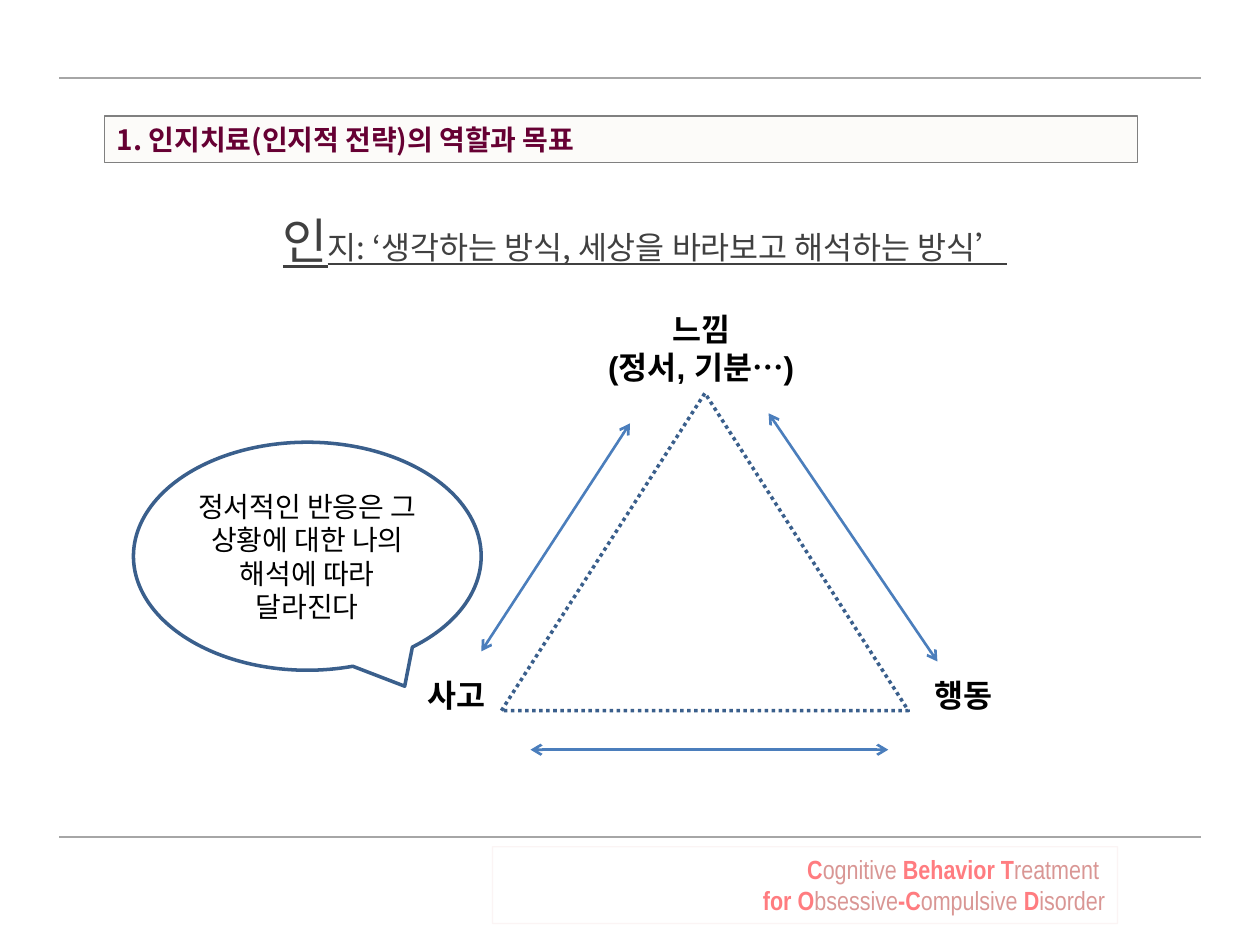
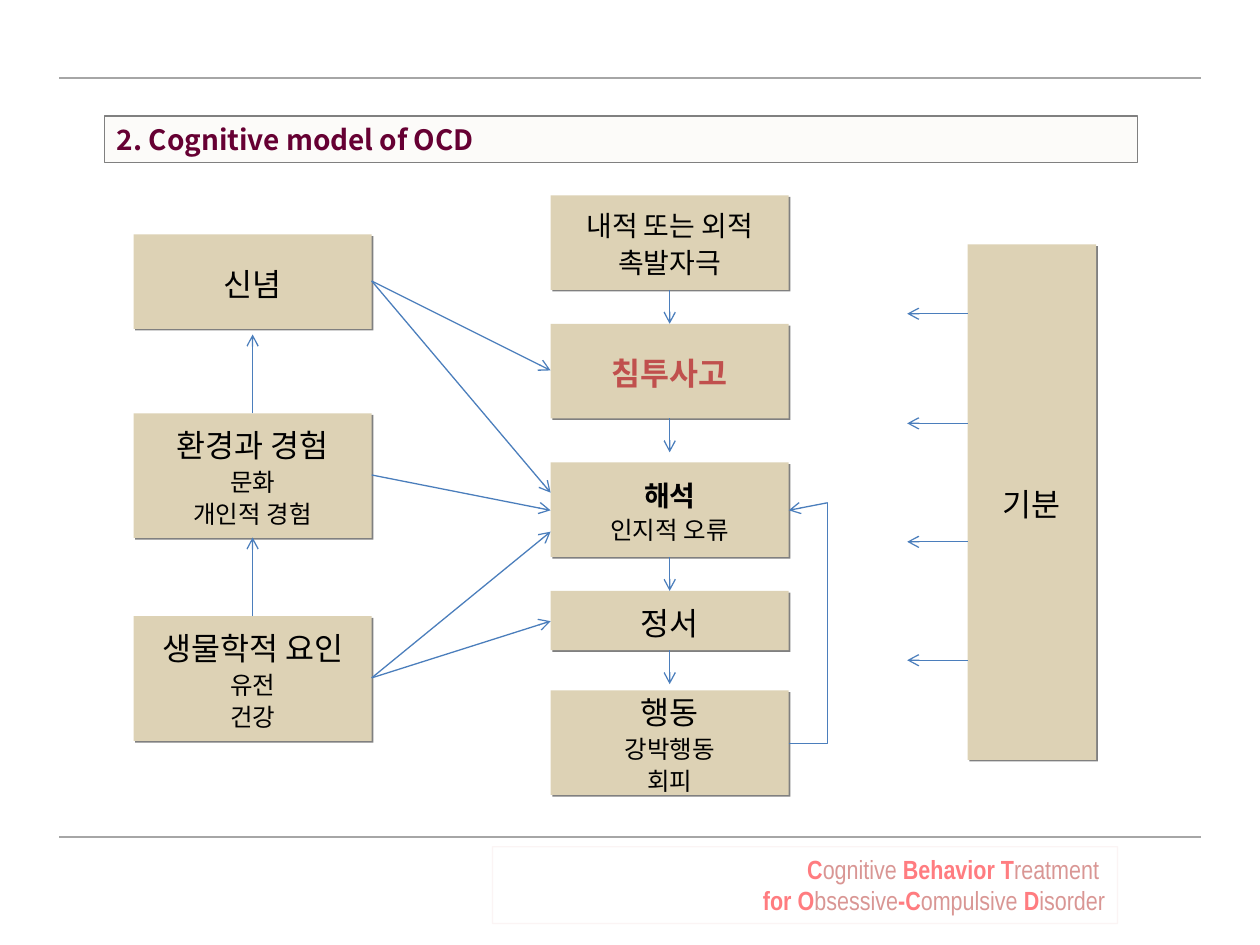
from itertools import pairwise

from lxml import etree
from pptx import Presentation
from pptx import util as u
from pptx.dml.color import RGBColor
from pptx.enum import dml, shapes, text
from pptx.oxml.ns import qn

# Grid: 100 columns by 75 rows of 0.1 inch cells
CELL = u.Inches(0.1)
COLUMNS, ROWS = 100, 75

COLORS = {
    "rule": "A6A6A6", "band": "FCFBF9", "band_edge": "808080", "title": "660033",
    "accent": "FF7C80", "footer": "D99694", "intro": "404040", "text": "000000",
    "outline": "3A5F8C", "arrow": "4B7EBC", "card": "DDD2B5", "alert": "C0504D",
    "shadow": "808080",
}
KOREAN, LATIN, NARROW = "Noto Sans CJK KR", "Arial", "Arial Narrow"
CENTER, RIGHT = text.PP_ALIGN.CENTER, text.PP_ALIGN.RIGHT
TOP, MIDDLE = text.MSO_ANCHOR.TOP, text.MSO_ANCHOR.MIDDLE

# Cognitive model: top row, height and lines of each card
CARD_WIDTH = 18.9
CAUSE_LEFT, FLOW_LEFT, MOOD_LEFT = 10.6, 43.7, 76.8
CAUSES = [
    (18.6, 7.5, [("신념", 18)]),
    (32.8, 9.9, [("환경과 경험", 18), ("문화", 14), ("개인적 경험", 14)]),
    (48.9, 9.9, [("생물학적 요인", 18), ("유전", 14), ("건강", 14)]),
]
FLOW = [
    (15.5, 7.5, [("내적 또는 외적 촉발자극", 16)]),
    (25.7, 7.5, [("침투사고", 18, {"bold": True, "color": "alert"})]),
    (36.7, 7.5, [("해석", 16, {"bold": True}), ("인지적 오류", 14)]),
    (46.9, 4.7, [("정서", 18)]),
    (54.8, 8.3, [("행동", 18), ("강박행동", 14), ("회피", 14)]),
]
# Row at the cause, row at the flow card
INFLUENCES = [(22.3, 29.4), (22.3, 39.1), (37.7, 40.5), (53.8, 42.2), (53.8, 49.3)]
MOOD_ROWS = [24.9, 33.6, 43, 52.4]


def cells(*counts):
    return [round(count * CELL) for count in counts]


def rgb(name):
    return RGBColor.from_string(COLORS[name])


def add_xml(parent, tag, **values):
    return etree.SubElement(parent, qn(tag), {key: str(value) for key, value in values.items()})


def set_line(line, color, width, dash=None):
    line.color.rgb = rgb(color)
    line.width = u.Pt(width)
    if dash:
        line.dash_style = dash


# Text
def write(box, paragraphs, size, font=LATIN, align=None, anchor=TOP, margin=None, spacing=None):
    """Each paragraph is a list of (words, format values) spans."""
    frame = box.text_frame
    frame.word_wrap = True
    frame.vertical_anchor = anchor
    if margin is not None:
        for side in ("left", "top", "right", "bottom"):
            setattr(frame, f"margin_{side}", round(margin * CELL))
    for index, spans in enumerate(paragraphs):
        para = frame.add_paragraph() if index else frame.paragraphs[0]
        para.alignment, para.line_spacing = align, spacing
        for words, formats in spans:
            span = para.add_run()
            span.text = words
            values = {"name": font, "size": size, "color": "text"} | formats
            span.font.color.rgb = rgb(values.pop("color"))
            values["size"] = u.Pt(values["size"])
            for key, value in values.items():
                setattr(span.font, key, value)
            add_xml(span.font._element, "a:ea", typeface=KOREAN)


def add_text(page, area, paragraphs, size, **options):
    write(page.shapes.add_textbox(*cells(*area)), paragraphs, size, **options)


# Shapes and lines
def add_box(page, kind, area, fill=None, line=None):
    box = page.shapes.add_shape(kind, *cells(*area))
    box.shadow.inherit = False
    if fill:
        box.fill.solid()
        box.fill.fore_color.rgb = rgb(fill)
    else:
        box.fill.background()
    if line:
        set_line(box.line, *line)
    else:
        box.line.fill.background()
    return box


def add_line(page, start, end, color="arrow", width=0.75, heads=(), bent=False):
    kind = shapes.MSO_CONNECTOR.ELBOW if bent else shapes.MSO_CONNECTOR.STRAIGHT
    line = page.shapes.add_connector(kind, *cells(*start, *end))
    set_line(line.line, color, width)
    properties = line._element.spPr
    if bent:
        properties.find(qn("a:prstGeom")).set("prst", "bentConnector2")
    for head in heads:
        add_xml(line.line._get_or_add_ln(), f"a:{head}", type="arrow")
    add_xml(properties, "a:effectLst")


def add_arrow(page, start, end):
    add_line(page, start, end, heads=["tailEnd"])


def add_card(page, left, top, width, height, lines):
    card = add_box(page, shapes.MSO_SHAPE.RECTANGLE, (left, top, width, height), "card")
    shadow = add_xml(card._element.spPr.find(qn("a:effectLst")), "a:outerShdw",
                     blurRad=0, dist=u.Pt(1.4), dir=45 * 60000, algn="ctr", rotWithShape=0)
    add_xml(shadow, "a:srgbClr", val=COLORS["shadow"])
    paragraphs = [[(words, {"size": size} | (extra[0] if extra else {}))]
                  for words, size, *extra in lines]
    write(card, paragraphs, 18, align=CENTER, anchor=MIDDLE, margin=1, spacing=1.1)


# Parts shared by the slides
def add_page(deck, title):
    page = deck.slides.add_slide(deck.slide_layouts[6])
    for row in (66.4, 6.2):
        add_line(page, (4.7, row), (COLUMNS - 4.7, row), "rule", 1.25)

    footer = add_box(page, shapes.MSO_SHAPE.RECTANGLE, (39.1, 67.2, 49.6, 6.1),
                     line=("footer", 0.75))
    edge = footer.line._get_or_add_ln().find(".//" + qn("a:srgbClr"))
    add_xml(edge, "a:alpha", val=10000)
    strong = {"color": "accent", "bold": True}
    plain = {"color": "footer", "bold": False}
    heavy = {"color": "footer", "bold": True}
    write(footer, [
        [("C", strong), ("ognitive", plain), (" B", strong), ("ehavior", heavy),
         (" T", strong), ("reatment ", plain)],
        [("for", strong), (" O", strong), ("bsessive", plain), ("-C", strong),
         ("ompulsive", plain), (" D", strong), ("isorder", plain)],
    ], 15, font=NARROW, align=RIGHT)
    for span in footer.text_frame.paragraphs[0].runs[3:4]:
        span.font.color.rgb = rgb("accent")

    band = add_box(page, shapes.MSO_SHAPE.RECTANGLE, (8.3, 9.2, 82, 3.7),
                   "band", ("band_edge", 0.75))
    write(band, [[(title, {"color": "title", "bold": True})]], 16, font=KOREAN, anchor=MIDDLE)
    return page


def build_triangle(deck):
    page = add_page(deck, "1. 인지치료(인지적 전략)의 역할과 목표")
    intro = {"color": "intro", "underline": True}
    add_text(page, (7.5, 16.2, 87.4, 6.5),
             [[("인", intro | {"size": 28}), ("지: ‘생각하는 방식, 세상을 바라보고 해석하는 방식’", intro)]],
             18, font=KOREAN, align=CENTER)

    # Triangle with its corner labels
    add_box(page, shapes.MSO_SHAPE.ISOSCELES_TRIANGLE, (39.8, 31.2, 32.3, 25.2),
            line=("outline", 2, dml.MSO_LINE.ROUND_DOT))
    corners = [((46.8, 24.1, 17.7, 7.1), ["느낌", "(정서, 기분…)"]),
               ((32.7, 53.2, 7.1, 4), ["사고"]),
               ((72.9, 53.2, 7.1, 4), ["행동"])]
    for area, lines in corners:
        add_text(page, area, [[(words, {"bold": True})] for words in lines], 18, align=CENTER)

    # Two-way arrows along the sides
    sides = [((50, 33.6), (38.2, 51.7)), ((70.5, 59.5), (42.1, 59.5)), ((74.4, 52.5), (61, 32.8))]
    for start, end in sides:
        add_line(page, start, end, width=1.5, heads=["headEnd", "tailEnd"])

    # Speech bubble
    bubble = add_box(page, shapes.MSO_SHAPE.OVAL_CALLOUT, (10.6, 35.1, 27.6, 18.1),
                     line=("outline", 2))
    bubble.adjustments[0], bubble.adjustments[1] = 0.28, 0.57
    write(bubble, [[("정서적인 반응은 그 상황에 대한 나의 해석에 따라 달라진다", {})]],
          16, font=KOREAN, align=CENTER, anchor=MIDDLE)


def build_model(deck):
    page = add_page(deck, "2. Cognitive model of OCD")
    for left, cards in ((CAUSE_LEFT, CAUSES), (FLOW_LEFT, FLOW)):
        for top, height, lines in cards:
            add_card(page, left, top, CARD_WIDTH, height, lines)
    add_card(page, MOOD_LEFT, 19.4, 10.2, 40.9, [("기분", 18)])

    # Upward arrows between causes, downward arrows along the flow
    cause_middle, flow_middle = CAUSE_LEFT + CARD_WIDTH / 2, FLOW_LEFT + CARD_WIDTH / 2
    for top, _, _ in CAUSES[1:]:
        add_arrow(page, (cause_middle, top), (cause_middle, top - 6.25))
    for (top, height, _), _ in pairwise(FLOW):
        add_arrow(page, (flow_middle, top + height), (flow_middle, top + height + 2.7))

    # Influences on the flow, from the causes and from the mood
    for start, end in INFLUENCES:
        add_arrow(page, (CAUSE_LEFT + CARD_WIDTH, start), (FLOW_LEFT, end))
    for row in MOOD_ROWS:
        add_arrow(page, (MOOD_LEFT, row), (MOOD_LEFT - 4.8, row))

    # Feedback from behaviour to interpretation
    flow_right = FLOW_LEFT + CARD_WIDTH
    turn = (flow_right + 3.1, 39.9)
    add_line(page, (flow_right, 59), turn, bent=True)
    add_arrow(page, turn, (flow_right, 40.5))


def main():
    deck = Presentation()
    deck.slide_width, deck.slide_height = cells(COLUMNS, ROWS)
    build_triangle(deck)
    build_model(deck)
    deck.save("out.pptx")


if __name__ == "__main__":
    main()
